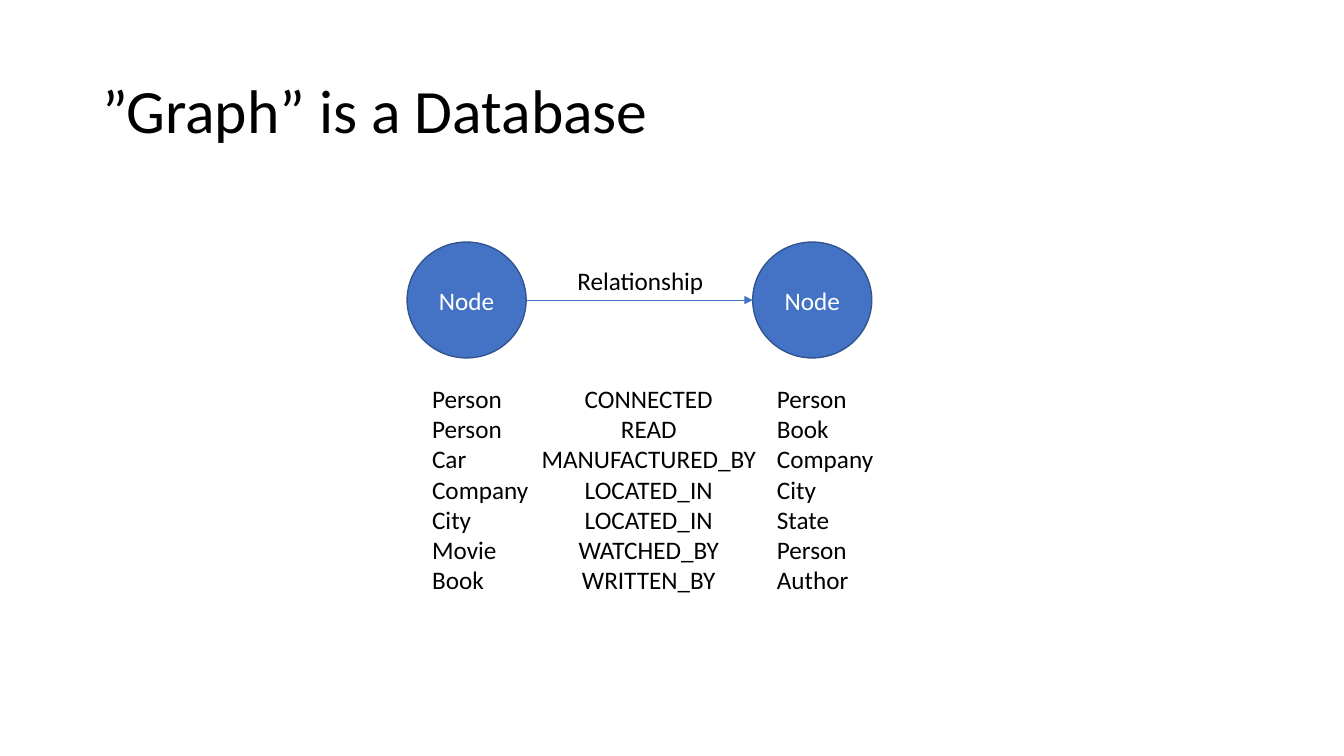
from dataclasses import dataclass

from lxml import etree
from pptx import Presentation
from pptx.dml.color import RGBColor
from pptx.enum import shapes, text
from pptx.oxml import ns
from pptx.util import Cm, Pt


@dataclass(frozen=True)
class Theme:
    font: str = "Calibri"
    title_size: int = 44
    text_size: int = 18
    ink: str = "000000"
    paper: str = "FFFFFF"
    node: str = "4472C4"
    node_edge: str = "325491"


THEME = Theme()
LEFT, CENTER = text.PP_ALIGN.LEFT, text.PP_ALIGN.CENTER
TOP, MIDDLE = text.MSO_ANCHOR.TOP, text.MSO_ANCHOR.MIDDLE

NODE_W, NODE_H, NODE_TOP = 3, 2.92, 6.1
NODE_LEFTS = (10.26, 18.97)
LIST_TOP, LIST_H = 9.53, 5.64
LIST_COLUMNS = ((10.64, 3.66, LEFT), (13.35, 6, CENTER), (19.33, 3.66, LEFT))

EXAMPLES = (
    ("Person", "CONNECTED", "Person"),
    ("Person", "READ", "Book"),
    ("Car", "MANUFACTURED_BY", "Company"),
    ("Company", "LOCATED_IN", "City"),
    ("City", "LOCATED_IN", "State"),
    ("Movie", "WATCHED_BY", "Person"),
    ("Book", "WRITTEN_BY", "Author"),
)


def apply(obj, formats):
    for name, value in formats.items():
        setattr(obj, name, value)


def write(tf, lines, size=THEME.text_size, color=THEME.ink,
          align=LEFT, anchor=TOP, spacing=1.0):
    apply(tf, {"word_wrap": True, "vertical_anchor": anchor,
               "auto_size": text.MSO_AUTO_SIZE.NONE})
    for i, line in enumerate(lines):
        p = tf.add_paragraph() if i else tf.paragraphs[0]
        apply(p, {"alignment": align, "line_spacing": spacing})
        r = p.add_run()
        r.text = line
        apply(r.font, {"name": THEME.font, "size": Pt(size)})
        r.font.color.rgb = RGBColor.from_string(color)


def add_title(s, title):
    sp = s.shapes.title
    apply(sp, {"left": Cm(2.34), "top": Cm(1.02),
               "width": Cm(29.21), "height": Cm(3.68)})
    write(sp.text_frame, [title], THEME.title_size, anchor=MIDDLE, spacing=0.9)


def add_node(s, left):
    sp = s.shapes.add_shape(shapes.MSO_SHAPE.OVAL, Cm(left), Cm(NODE_TOP),
                            Cm(NODE_W), Cm(NODE_H))
    sp.shadow.inherit = False
    sp.fill.solid()
    sp.fill.fore_color.rgb = RGBColor.from_string(THEME.node)
    sp.line.color.rgb = RGBColor.from_string(THEME.node_edge)
    sp.line.width = Pt(1)
    write(sp.text_frame, ["Node"], color=THEME.paper, align=CENTER, anchor=MIDDLE)


def add_arrow(s, start, end, y):
    cx = s.shapes.add_connector(shapes.MSO_CONNECTOR.STRAIGHT,
                                Cm(start), Cm(y), Cm(end), Cm(y))
    cx.line.color.rgb = RGBColor.from_string(THEME.node)
    cx.line.width = Pt(0.5)
    sp_pr = cx._element.spPr
    etree.SubElement(sp_pr.find(ns.qn("a:ln")), ns.qn("a:tailEnd"), type="triangle")
    etree.SubElement(sp_pr, ns.qn("a:effectLst"))


def add_text(s, lines, left, top, width, height, align=LEFT):
    sp = s.shapes.add_textbox(Cm(left), Cm(top), Cm(width), Cm(height))
    write(sp.text_frame, lines, align=align)


def main():
    prs = Presentation()
    apply(prs, {"slide_width": Cm(33.87), "slide_height": Cm(19.05)})
    s = prs.slides.add_slide(prs.slide_layouts.get_by_name("Title Only"))
    add_title(s, "”Graph” is a Database")
    for left in NODE_LEFTS:
        add_node(s, left)
    add_arrow(s, NODE_LEFTS[0] + NODE_W, NODE_LEFTS[1], NODE_TOP + NODE_H / 2)
    add_text(s, ["Relationship"], 14.3, 6.55, 3.76, 1.02)
    for lines, (left, width, align) in zip(zip(*EXAMPLES), LIST_COLUMNS):
        add_text(s, lines, left, LIST_TOP, width, LIST_H, align)
    prs.save("out.pptx")


if __name__ == "__main__":
    main()
